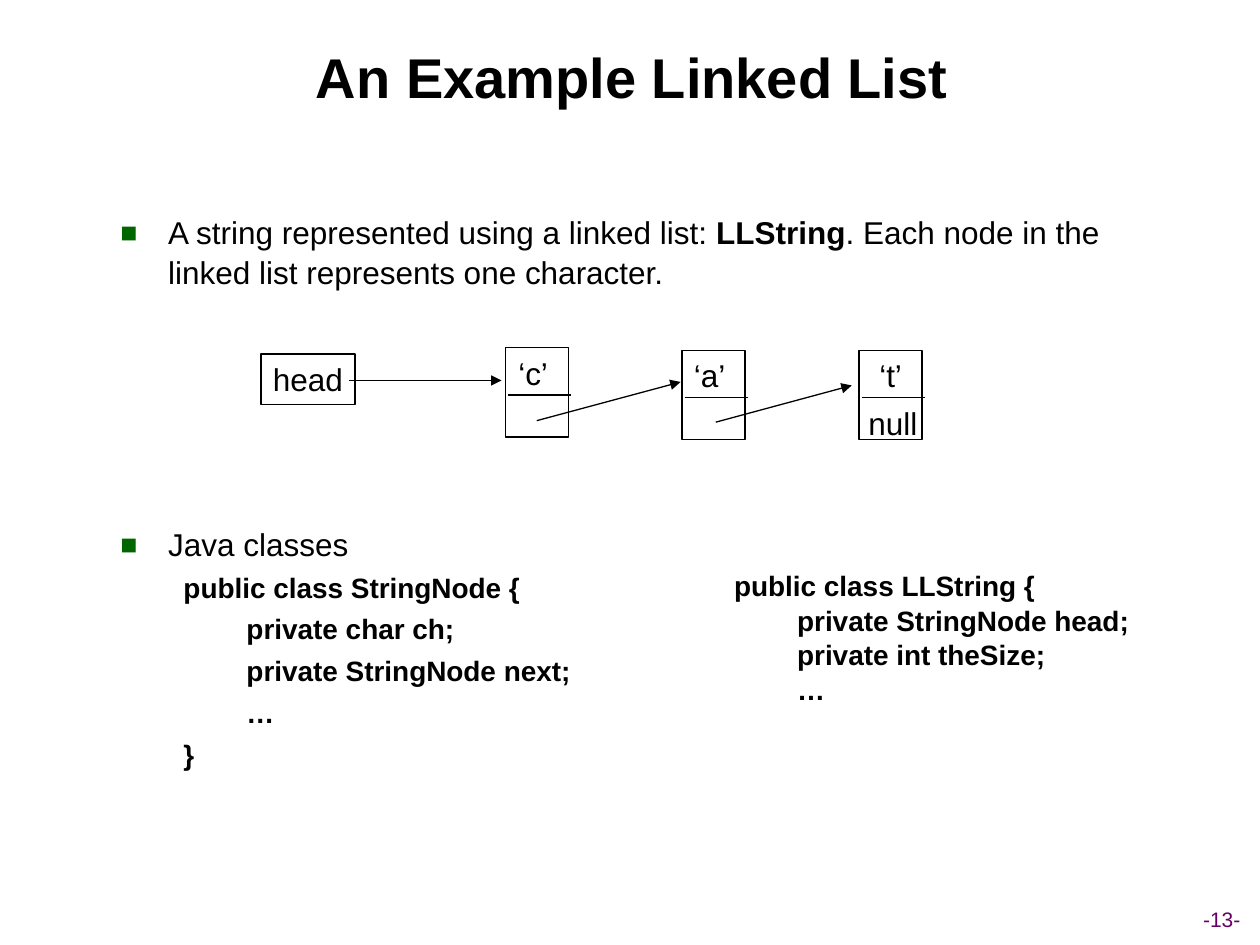
from dataclasses import dataclass

from lxml.etree import SubElement
from pptx import Presentation
from pptx.dml.color import RGBColor
from pptx.enum.shapes import MSO_CONNECTOR as Connector, MSO_SHAPE as Shape
from pptx.enum.text import MSO_ANCHOR as Anchor, PP_ALIGN as Align
from pptx.oxml.ns import qn
from pptx.util import Cm, Pt


@dataclass(frozen=True)
class Theme:
    font: str = "Arial"
    ink: RGBColor = RGBColor(0, 0, 0)
    page: RGBColor = RGBColor(0x66, 0, 0x66)
    bullet: str = "006600"
    title_size: int = 32
    body_size: int = 18
    code_size: int = 16
    page_size: int = 12
    line_width: float = 0.75


THEME = Theme()
BODY_LEFT = 2.18
BULLET_INDENT = 0.96
CODE_INDENT = 1.27
NODE_WIDTH, NODE_HEIGHT = 1.27, 1.8


def style(paragraph, size, color=THEME.ink, bold=False):
    font = paragraph.font
    font.name, font.size, font.bold = THEME.font, Pt(size), bold
    font.color.rgb = color


def add_box(slide, left, top, width, height, wrap=True, anchor=Anchor.TOP):
    frame = slide.shapes.add_textbox(Cm(left), Cm(top), Cm(width), Cm(height)).text_frame
    frame.word_wrap = wrap
    frame.vertical_anchor = anchor
    return frame


def add_label(slide, text, position, size, color=THEME.ink, bold=False, anchor=Anchor.MIDDLE):
    paragraph = add_box(slide, *position, wrap=False, anchor=anchor).paragraphs[0]
    paragraph.text = text
    paragraph.alignment = Align.CENTER
    style(paragraph, size, color, bold)


def add_bullet(paragraph, parts):
    paragraph.line_spacing = 1.05
    properties = paragraph._p.get_or_add_pPr()
    properties.set("marL", str(Cm(BULLET_INDENT)))
    properties.set("indent", str(-Cm(BULLET_INDENT)))
    color = SubElement(properties, qn("a:buClr"))
    SubElement(color, qn("a:srgbClr"), val=THEME.bullet)
    SubElement(properties, qn("a:buSzPct"), val="90000")
    SubElement(properties, qn("a:buFont"), typeface=THEME.font)
    SubElement(properties, qn("a:buChar"), char="■")
    style(paragraph, THEME.body_size)
    for text, bold in parts:
        run = paragraph.add_run()
        run.text = text
        run.font.bold = bold


def add_code(frame, lines, spacing):
    for text, level in lines:
        first = frame.paragraphs[0]
        paragraph = frame.add_paragraph() if first.runs else first
        if paragraph is not first:
            paragraph.space_before = Pt(4)
        paragraph.text = text
        paragraph.line_spacing = spacing
        paragraph._p.get_or_add_pPr().set("marL", str(Cm(level * CODE_INDENT)))
        style(paragraph, THEME.code_size, bold=True)


def add_cell(slide, text, left, top, width, height):
    shape = slide.shapes.add_shape(Shape.RECTANGLE, Cm(left), Cm(top), Cm(width), Cm(height))
    shape.shadow.inherit = False
    shape.fill.background()
    shape.line.color.rgb = THEME.ink
    shape.line.width = Pt(THEME.line_width)
    frame = shape.text_frame
    frame.word_wrap = False
    frame.vertical_anchor = Anchor.TOP
    paragraph = frame.paragraphs[0]
    paragraph.text = text
    paragraph.alignment = Align.CENTER
    style(paragraph, THEME.body_size)


def add_line(slide, x1, y1, x2, y2, arrow=False):
    line = slide.shapes.add_connector(Connector.STRAIGHT, Cm(x1), Cm(y1), Cm(x2), Cm(y2))
    line.line.color.rgb = THEME.ink
    line.line.width = Pt(THEME.line_width)
    if arrow:
        SubElement(line.line._get_or_add_ln(), qn("a:tailEnd"), type="triangle")
    SubElement(line._element.spPr, qn("a:effectLst"))


def add_node(slide, text, left, top):
    add_cell(slide, text, left, top, NODE_WIDTH, NODE_HEIGHT)
    divider = top + 0.95
    add_line(slide, left + 0.05, divider, left + 0.05 + NODE_WIDTH, divider)


def add_linked_list(slide):
    add_cell(slide, "head", 5.26, 7.14, 1.9, 1.02)
    for text, left, top in (("‘c’ ", 10.19, 7.01), ("‘a’ ", 13.75, 7.06), ("‘t’", 17.32, 7.06)):
        add_node(slide, text, left, top)
    arrows = ((7.04, 7.67, 10.11, 7.67), (10.82, 8.48, 13.72, 7.7), (14.43, 8.51, 17.17, 7.77))
    for ends in arrows:
        add_line(slide, *ends, arrow=True)
    add_label(slide, "null", (17.25, 8.03, 1.5, 1.02), THEME.body_size, anchor=Anchor.TOP)


def main():
    presentation = Presentation()
    presentation.slide_width, presentation.slide_height = Cm(25.4), Cm(19.05)
    slide = presentation.slides.add_slide(presentation.slide_layouts[6])

    add_label(slide, "-13-", (23.27, 18.14, 2.72, 0.76), THEME.page_size, THEME.page)
    add_label(slide, "An Example Linked List", (0.97, 0.33, 23.55, 2.41),
              THEME.title_size, bold=True)

    introduction = add_box(slide, BODY_LEFT, 4.14, 21.29, 2)
    add_bullet(introduction.paragraphs[0], (
        ("A string represented using a linked list: ", False),
        ("LLString", True),
        (". Each node in the linked list represents one character.", False),
    ))
    add_linked_list(slide)

    heading = add_box(slide, BODY_LEFT, 10.43, 10.5, 1)
    add_bullet(heading.paragraphs[0], (("Java classes", False),))
    add_code(add_box(slide, BODY_LEFT, 11.34, 10.5, 4.5), (
        ("public class StringNode {", 1),
        ("private char ch;", 2),
        ("private StringNode next;", 2),
        ("…", 2),
        ("}", 1),
    ), spacing=1.04)
    add_code(add_box(slide, 13.28, 11.46, 11.58, 3), (
        ("public class LLString {", 1),
        ("private StringNode head;", 2),
        ("private int theSize;", 2),
        ("…", 2),
    ), spacing=0.82)

    presentation.save("out.pptx")


if __name__ == "__main__":
    main()
